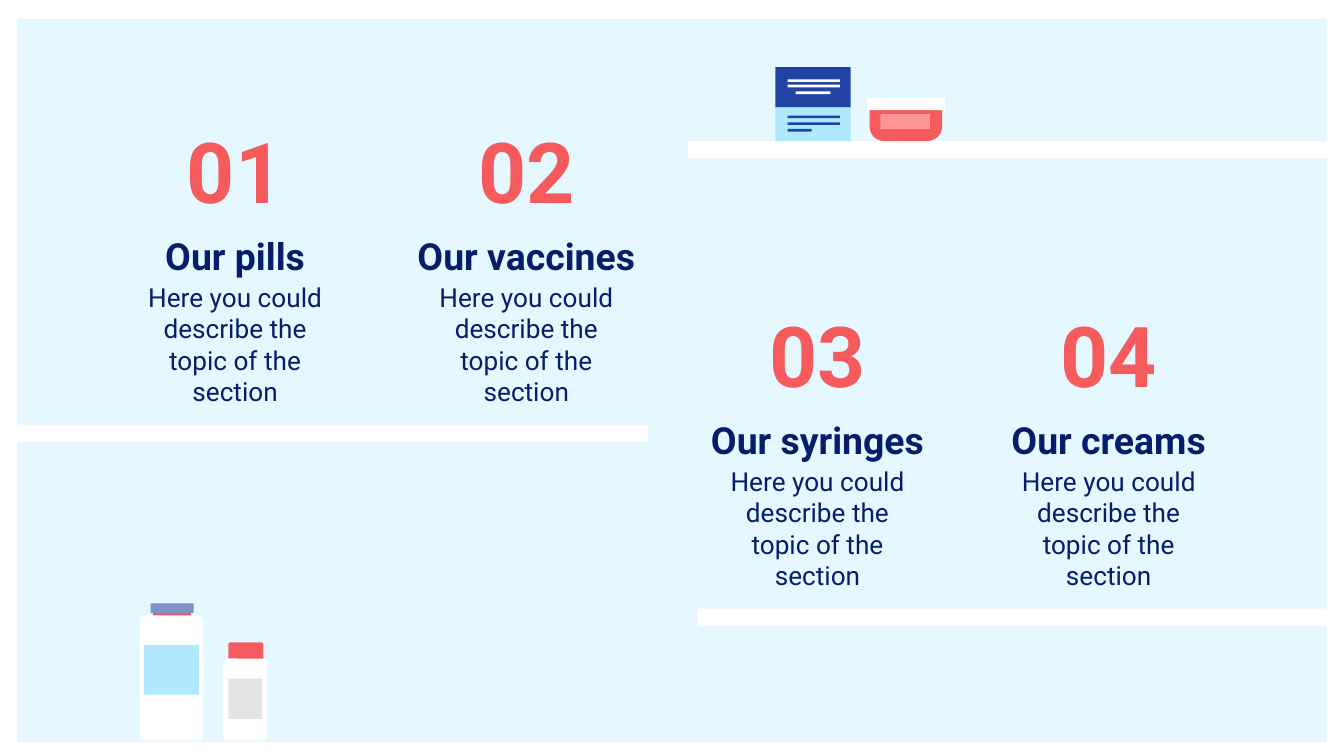
"""Build a pharmacy-shelf agenda slide with four numbered sections."""
from dataclasses import dataclass
from typing import Any

from lxml import etree
from pptx import Presentation
from pptx import util as u
from pptx.dml.color import RGBColor
from pptx.enum import shapes, text
from pptx.oxml import ns
from pptx.shapes.autoshape import Shape
from pptx.slide import Slide

SKY = RGBColor(0xE5, 0xF8, 0xFF)
WHITE = RGBColor(0xFF, 0xFF, 0xFF)
CORAL = RGBColor(0xF5, 0x5B, 0x5D)
PINK = RGBColor(0xFF, 0x95, 0x97)
NAVY = RGBColor(0x05, 0x1E, 0x6B)
BLUE = RGBColor(0x21, 0x43, 0xA3)
LIGHT_BLUE = RGBColor(0xB0, 0xE8, 0xFF)
PERIWINKLE = RGBColor(0x7E, 0x92, 0xCA)
GREY = RGBColor(0xE4, 0xE4, 0xE4)

RECTANGLE = shapes.MSO_SHAPE.RECTANGLE
ROUNDED = shapes.MSO_SHAPE.ROUNDED_RECTANGLE
BOWL = shapes.MSO_SHAPE.ROUND_2_SAME_RECTANGLE

SLIDE_WIDTH = u.Inches(10)
SLIDE_HEIGHT = u.Emu(SLIDE_WIDTH * 9 // 16)
DESCRIPTION = "Here you could describe the topic of the section"
FIRST_CENTER, COLUMN_STEP, ROW_STEP = 1.75, 6.5 / 3, 1.37


@dataclass(frozen=True)
class Part:
    left: float
    top: float
    width: float
    height: float
    color: RGBColor
    kind: shapes.MSO_SHAPE = RECTANGLE
    corners: tuple[float, ...] = ()


@dataclass(frozen=True)
class TextStyle:
    top: float
    width: float
    height: float
    size: int
    color: RGBColor
    bold: bool
    space_after: int = 0


@dataclass(frozen=True)
class Section:
    heading: str
    row: int


NUMBER = TextStyle(0.97, 1.55, 0.59, 45, CORAL, True)
HEADING = TextStyle(1.65, 2.04, 0.5, 20, NAVY, True)
BODY = TextStyle(2.15, 1.68, 0.82, 14, NAVY, False, 12)

SECTIONS = [
    Section("Our pills", 0),
    Section("Our vaccines", 0),
    Section("Our syringes", 1),
    Section("Our creams", 1),
]

SHELVES = [
    Part(5.12, 1.05, 4.76, 0.13, WHITE),
    Part(0.13, 3.16, 4.69, 0.13, WHITE),
    Part(5.19, 4.53, 4.69, 0.13, WHITE),
]
CREAM_JAR = [
    Part(6.47, 0.77, 0.54, 0.28, CORAL, BOWL, (0, 0.39)),
    Part(6.45, 0.73, 0.58, 0.09, WHITE),
    Part(6.55, 0.85, 0.37, 0.11, PINK),
]
MEDICINE_BOX = [
    Part(5.77, 0.5, 0.56, 0.3, BLUE),
    Part(5.77, 0.8, 0.56, 0.25, LIGHT_BLUE),
    *(Part(5.86, top, 0.39, 0.02, WHITE) for top in (0.59, 0.63)),
    Part(5.92, 0.68, 0.26, 0.02, WHITE),
    *(Part(5.86, top, 0.39, 0.02, BLUE) for top in (0.86, 0.91)),
    Part(5.86, 0.96, 0.18, 0.02, BLUE),
]
LARGE_BOTTLE = [
    Part(1.14, 4.53, 0.28, 0.08, CORAL),
    Part(1.12, 4.49, 0.32, 0.07, PERIWINKLE),
    Part(1.04, 4.58, 0.47, 0.93, WHITE, ROUNDED, (0.08,)),
    Part(1.07, 4.8, 0.41, 0.37, LIGHT_BLUE),
]
SMALL_BOTTLE = [
    Part(1.7, 4.78, 0.26, 0.13, CORAL, ROUNDED, (0.12,)),
    Part(1.66, 4.9, 0.33, 0.61, WHITE, ROUNDED, (0.12,)),
    Part(1.7, 5.05, 0.25, 0.3, GREY),
]


def set_attributes(target: Any, values: dict[str, Any]) -> None:
    """Set every named value on the target."""
    for name, value in values.items():
        setattr(target, name, value)


def draw_part(slide: Slide, part: Part) -> None:
    """Draw one flat coloured part."""
    lengths = [u.Inches(n) for n in (part.left, part.top, part.width, part.height)]
    shape = slide.shapes.add_shape(part.kind, *lengths)
    for index, corner in enumerate(part.corners):
        shape.adjustments[index] = corner
    shape.shadow.inherit = False
    shape.fill.solid()
    shape.fill.fore_color.rgb = part.color
    shape.line.fill.background()


def draw_frame(slide: Slide) -> None:
    """Draw the white border around the slide."""
    shape = slide.shapes.add_shape(
        RECTANGLE, 0, u.Inches(0.02), SLIDE_WIDTH, SLIDE_HEIGHT)
    shape.shadow.inherit = False
    shape.fill.background()
    shape.line.color.rgb = WHITE
    shape.line.width = u.Pt(18)


def write_text(shape: Shape, words: str, style: TextStyle, column: int, row: int) -> None:
    """Place a text shape in its column and row and format its words."""
    center = FIRST_CENTER + column * COLUMN_STEP
    set_attributes(shape, {
        "left": u.Inches(center - style.width / 2),
        "top": u.Inches(style.top + row * ROW_STEP),
        "width": u.Inches(style.width),
        "height": u.Inches(style.height),
    })
    frame = shape.text_frame
    margins = ("margin_left", "margin_top", "margin_right", "margin_bottom")
    set_attributes(frame, {
        "word_wrap": True,
        "auto_size": text.MSO_AUTO_SIZE.NONE,
        "vertical_anchor": text.MSO_ANCHOR.MIDDLE,
        **dict.fromkeys(margins, u.Inches(0.1)),
    })
    paragraph = frame.paragraphs[0]
    properties = paragraph._p.get_or_add_pPr()
    properties.set("marL", "0")
    properties.set("indent", "0")
    etree.SubElement(properties, ns.qn("a:buNone"))
    set_attributes(paragraph, {
        "alignment": text.PP_ALIGN.CENTER,
        "space_before": u.Pt(0),
        "space_after": u.Pt(style.space_after),
    })
    run = paragraph.add_run()
    run.text = words
    set_attributes(run.font, {"name": "Roboto", "size": u.Pt(style.size), "bold": style.bold})
    run.font.color.rgb = style.color


def main() -> None:
    """Build and save the slide."""
    presentation = Presentation()
    set_attributes(presentation, {"slide_width": SLIDE_WIDTH, "slide_height": SLIDE_HEIGHT})
    slide = presentation.slides.add_slide(presentation.slide_layouts.get_by_name("Comparison"))
    slide.background.fill.solid()
    slide.background.fill.fore_color.rgb = SKY

    title, *bodies = slide.placeholders
    draw_frame(slide)
    for part in SHELVES + CREAM_JAR + MEDICINE_BOX + LARGE_BOTTLE + SMALL_BOTTLE:
        draw_part(slide, part)
    for column, (section, body) in enumerate(zip(SECTIONS, bodies)):
        number = title if column == 0 else slide.shapes.add_textbox(0, 0, 0, 0)
        heading = slide.shapes.add_textbox(0, 0, 0, 0)
        write_text(number, f"{column + 1:02}", NUMBER, column, section.row)
        write_text(heading, section.heading, HEADING, column, section.row)
        write_text(body, DESCRIPTION, BODY, column, section.row)
    presentation.save("out.pptx")


if __name__ == "__main__":
    main()
